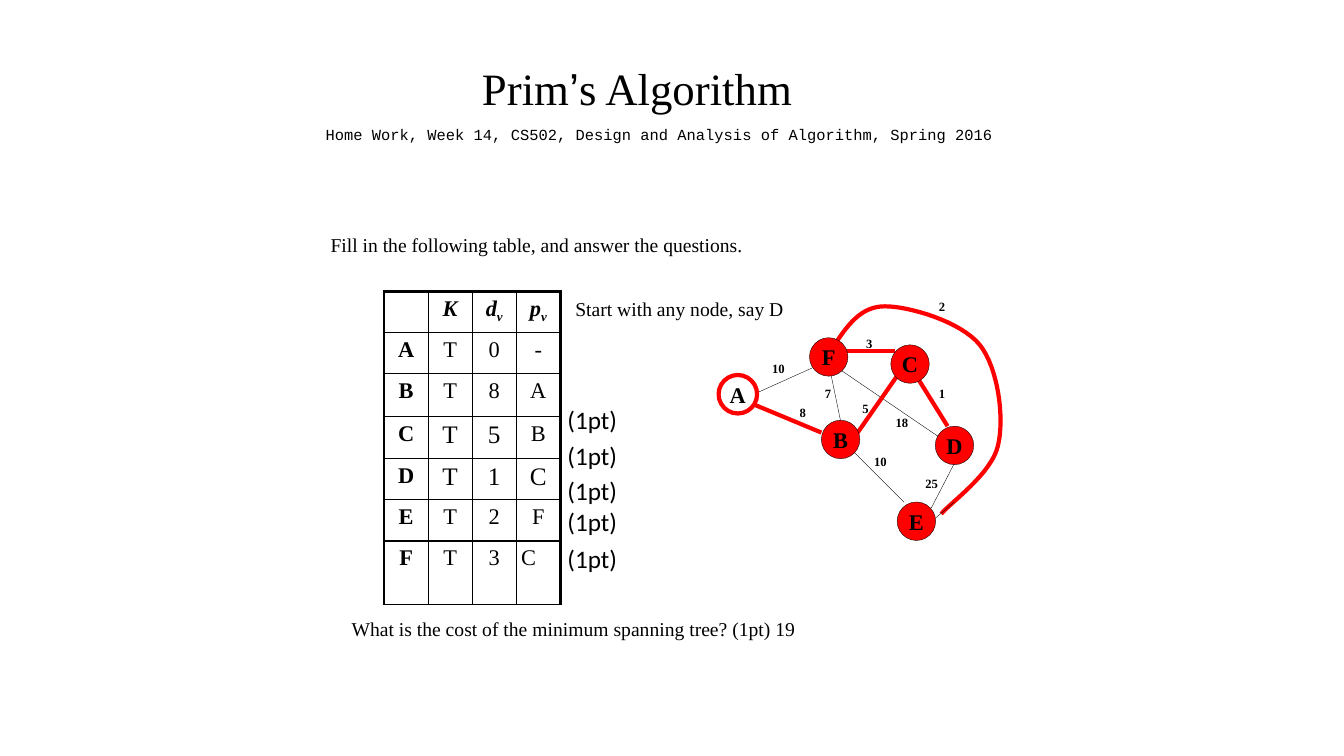
from lxml import etree
from pptx import Presentation
from pptx.dml.color import RGBColor
from pptx.enum import shapes, text
from pptx.oxml import ns
from pptx.util import Cm, Pt

SERIF = "Times New Roman"
BLACK, RED, WHITE = "000000", "FF0000", "FFFFFF"
LEFT, CENTER = text.PP_ALIGN.LEFT, text.PP_ALIGN.CENTER
THIN, THICK = (BLACK, 0.25), (RED, 3)
NODE_SIZE = 0.97

NODES = {"A": (18.11, 9.45), "B": (20.7, 10.59), "C": (22.45, 8.69),
         "D": (23.57, 10.74), "E": (22.61, 12.65), "F": (20.4, 8.51)}
EDGES = [
    (THIN, 24.28, 11.23, 23.47, 12.8),
    (THIN, 20.88, 9.14, 21.18, 10.59),
    (THIN, 23.72, 11.05, 21.18, 9.32),
    (THIN, 21.51, 11.38, 22.78, 12.65),
    (THIN, 19.05, 9.91, 20.47, 9.27),
    (THIN, 24.05, 12.65, 23.57, 13.06),
    (THICK, 21.51, 11.05, 22.61, 9.47),
    (THICK, 18.8, 10.11, 20.7, 10.9),
    (THICK, 21.29, 8.84, 22.56, 8.84),
    (THICK, 23.09, 9.47, 23.88, 10.74),
]
WEIGHTS = [("25", 23.48, 11.89), ("10", 22.19, 11.33), ("18", 22.73, 10.36),
           ("1", 23.74, 9.63), ("5", 21.81, 10.01), ("3", 21.91, 8.36),
           ("7", 20.87, 9.63), ("8", 20.23, 10.11), ("10", 19.62, 8.99),
           ("2", 23.74, 7.42)]
OUTER_EDGE = [(21.03, 8.69), (21.36, 8.2), (21.69, 7.72), (22.3, 7.72),
              (22.91, 7.72), (24.21, 8.1), (24.69, 8.69), (25.15, 9.27),
              (25.32, 10.52), (25.15, 11.23), (24.99, 11.94), (23.95, 12.67),
              (23.72, 12.95)]
ROWS = [["", "K", "dv", "pv"], ["A", "T", "0", "-"], ["B", "T", "8", "A"],
        ["C", "T", "5", "B"], ["D", "T", "1", "C"], ["E", "T", "2", "F"],
        ["F", "T", "3", "C"]]
ROW_HEIGHTS = [1.04, 1.04, 1.08, 1.05, 1.04, 1.04, 1.61]
LARGE_CELLS = {(3, 1), (3, 2), (4, 1), (4, 2), (4, 3)}
POINT_TOPS = [10.06, 10.97, 11.84, 12.62, 13.56]


def color(value):
    """Turn a hex string into a colour."""
    return RGBColor.from_string(value)


def format_span(span, size, font=SERIF, bold=False, italic=False):
    """Set the typeface of one run."""
    span.font.name, span.font.size = font, Pt(size)
    span.font.bold, span.font.italic = bold, italic
    span.font.color.rgb = color(BLACK)


def set_line(shape, style):
    """Give an outline its colour and width."""
    shape.line.color.rgb = color(style[0])
    shape.line.width = Pt(style[1])


def set_margins(frame, margin):
    """Use the same inset on all four sides."""
    frame.margin_left = frame.margin_right = Cm(margin)
    frame.margin_top = frame.margin_bottom = Cm(margin)


def add_label(page, place, spans, size, align=LEFT, bold=False, margin=0.1, wrap=True):
    """Add a one-line text box made of (words, font) spans."""
    box = page.shapes.add_textbox(*map(Cm, place))
    frame = box.text_frame
    frame.word_wrap = wrap
    set_margins(frame, margin)
    para = frame.paragraphs[0]
    para.alignment = align
    for words, font in spans:
        span = para.add_run()
        span.text = words
        format_span(span, size, font, bold)


def add_edge(page, style, *ends):
    """Draw one straight graph edge."""
    edge = page.shapes.add_connector(shapes.MSO_CONNECTOR.STRAIGHT, *map(Cm, ends))
    set_line(edge, style)
    etree.SubElement(edge._element.spPr, ns.qn("a:effectLst"))


def bezier_point(controls, t):
    """Return the point at t on a cubic curve."""
    factors = ((1 - t) ** 3, 3 * t * (1 - t) ** 2, 3 * t * t * (1 - t), t ** 3)
    return tuple(Cm(sum(f * point[axis] for f, point in zip(factors, controls)))
                 for axis in (0, 1))


def add_curve(page, controls, style, steps=16):
    """Draw a smooth open edge through joined cubic curves."""
    points = [bezier_point(controls[start:start + 4], step / steps)
              for start in range(0, len(controls) - 1, 3)
              for step in range(1, steps + 1)]
    builder = page.shapes.build_freeform(*map(Cm, controls[0]))
    builder.add_line_segments(points, close=False)
    curve = builder.convert_to_shape()
    curve.shadow.inherit = False
    curve.fill.solid()
    curve.fill.fore_color.rgb = color(WHITE)
    set_line(curve, style)


def add_node(page, name, left, top, fill, style):
    """Draw a graph node with its letter."""
    node = page.shapes.add_shape(shapes.MSO_SHAPE.OVAL, Cm(left), Cm(top),
                                 Cm(NODE_SIZE), Cm(NODE_SIZE))
    node.shadow.inherit = False
    node.fill.solid()
    node.fill.fore_color.rgb = color(fill)
    set_line(node, style)
    frame = node.text_frame
    frame.text = name
    frame.word_wrap = False
    frame.vertical_anchor = text.MSO_ANCHOR.MIDDLE
    set_margins(frame, 0)
    frame.paragraphs[0].alignment = CENTER
    format_span(frame.paragraphs[0].runs[0], 16, bold=True)


def set_borders(cell, widths):
    """Draw the left, right, top and bottom borders of a cell."""
    properties = cell._tc.get_or_add_tcPr()
    for side, width in zip("LRTB", widths):
        line = etree.SubElement(properties, ns.qn(f"a:ln{side}"), w=str(Pt(width)))
        fill = etree.SubElement(line, ns.qn("a:solidFill"))
        etree.SubElement(fill, ns.qn("a:srgbClr"), val=BLACK)


def fill_cell(cell, words, row, column):
    """Write one table cell; header letters carry a subscript."""
    set_margins(cell, 0.12)
    set_borders(cell, (2.25 if column == 0 else 1, 2.25 if column == 3 else 1,
                       2.25 if row == 0 else 1, 1))
    cell.fill.background()
    para = cell.text_frame.paragraphs[0]
    para.alignment = LEFT if (row, column) == (6, 3) else CENTER
    size = 18 if (row, column) in LARGE_CELLS else 16
    for position, letter in enumerate(words):
        span = para.add_run()
        span.text = letter
        format_span(span, size, bold=row == 0 or column == 0, italic=row == 0)
        if position:
            span._r.get_or_add_rPr().set("baseline", "-25000")


def add_answers(page):
    """Add the table of K, d and p for every node."""
    grid = page.shapes.add_table(len(ROWS), 4, Cm(9.68), Cm(7.34), Cm(4.44),
                                 Cm(sum(ROW_HEIGHTS))).table
    grid.first_row = grid.horz_banding = False
    for column in grid.columns:
        column.width = Cm(1.11)
    for row, (height, entries) in enumerate(zip(ROW_HEIGHTS, ROWS)):
        grid.rows[row].height = Cm(height)
        for column, words in enumerate(entries):
            fill_cell(grid.cell(row, column), words, row, column)


def add_graph(page):
    """Draw the weighted graph with its spanning tree."""
    add_curve(page, OUTER_EDGE, THICK)
    for edge in EDGES:
        add_edge(page, *edge)
    for name, (left, top) in NODES.items():
        fill, style = (WHITE, THICK) if name == "A" else (RED, THIN)
        add_node(page, name, left, top, fill, style)
    for weight, middle, top in WEIGHTS:
        add_label(page, (middle - 0.5, top, 1, 0.53), [(weight, SERIF)], 9,
                  CENTER, bold=True)


def main():
    """Build and save the slide."""
    deck = Presentation()
    deck.slide_width, deck.slide_height = Cm(33.87), Cm(19.05)
    page = deck.slides.add_slide(deck.slide_layouts[6])
    add_graph(page)
    add_answers(page)
    add_label(page, (12.04, 1.42, 8.03, 1.47),
              [("Prim", SERIF), ("’", "Arial"), ("s Algorithm", SERIF)], 32,
              CENTER, wrap=False)
    add_label(page, (7.82, 3.07, 17.6, 0.58),
              [("Home Work, Week 14, CS502, Design and Analysis of Algorithm, Spring 2016",
                "Courier New")], 11, CENTER, margin=0.08)
    for place, words in [
        ((8.23, 5.77, 10.8, 0.74), "Fill in the following table, and answer the questions."),
        ((14.4, 7.39, 6.05, 0.74), "Start with any node, say D"),
        ((8.76, 15.44, 13, 0.74), "What is the cost of the minimum spanning tree? (1pt) 19"),
    ]:
        add_label(page, place, [(words, SERIF)], 14)
    for top in POINT_TOPS:
        add_label(page, (14.17, top, 1.55, 1.04), [("(1pt)", "Calibri")], 18,
                  margin=0.13, wrap=False)
    deck.save("out.pptx")


if __name__ == "__main__":
    main()
